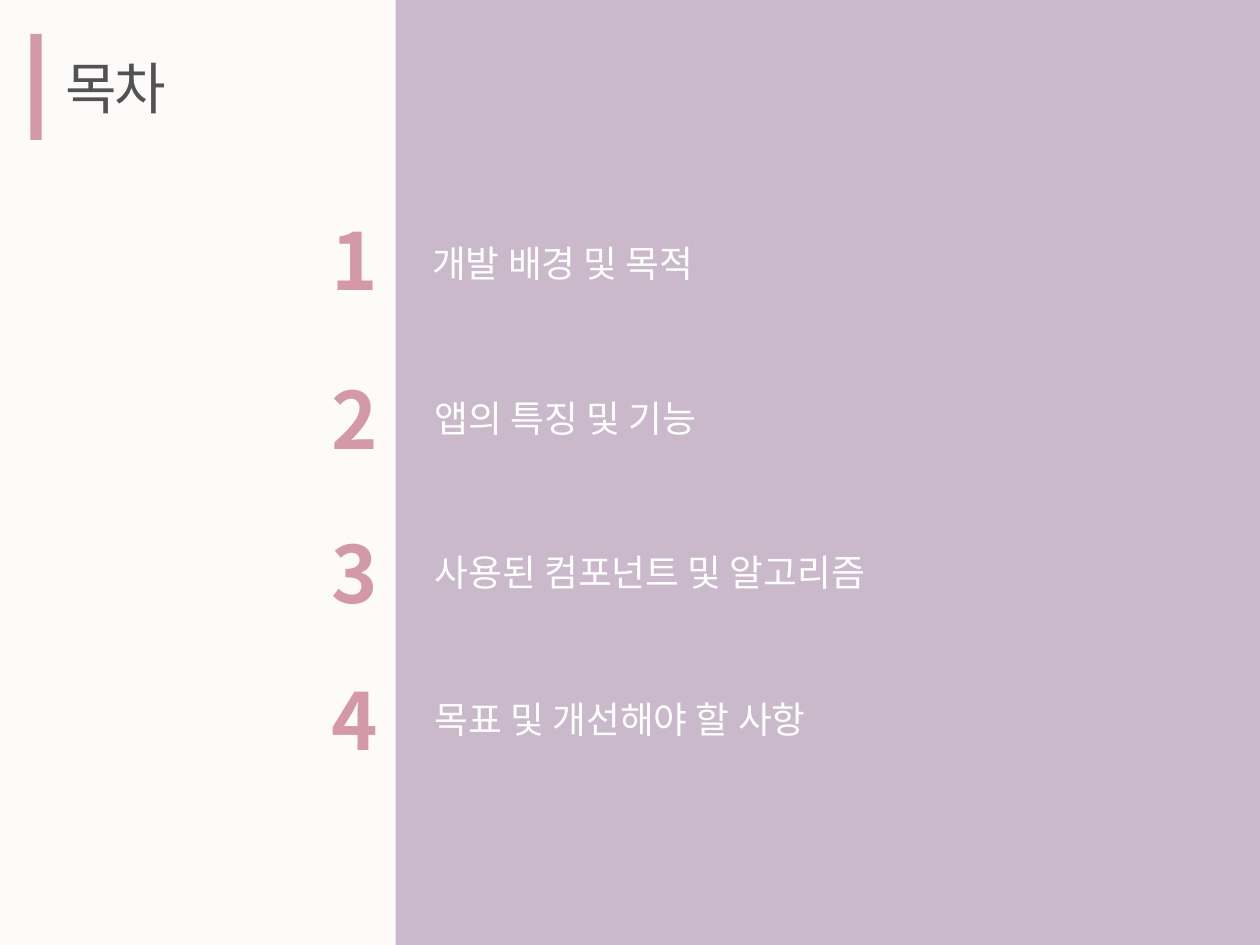
from pptx import Presentation
from pptx.dml.color import RGBColor
from pptx.enum.shapes import MSO_SHAPE
from pptx.enum.text import MSO_ANCHOR, MSO_AUTO_SIZE, PP_ALIGN
from pptx.oxml.ns import qn
from pptx.util import Inches, Pt
from lxml.etree import SubElement

COLORS = {
    "background": "FCFBFA",
    "panel": "CAB9CB",
    "accent": "D399A7",
    "title": "525252",
    "topic": "FFFFFF",
}
FONT = "Noto Sans CJK KR"
COMPARISON_LAYOUT = 4  # one title and four content placeholders

# Number top, topic left, topic top, topic width, topic text
TOPICS = [
    (16.3, 33.3, 18.6, 28.6, "개발 배경 및 목적"),
    (28.9, 33.5, 30.9, 28.6, "앱의 특징 및 기능"),
    (41.1, 33.5, 43.1, 40.4, "사용된 컴포넌트 및 알고리즘"),
    (52.8, 33.5, 54.8, 42.5, "목표 및 개선해야 할 사항"),
]


def write_text(frame, text, *, size, color, bold=False, spacing=0, wrap=True):
    """Put one left-aligned, unbulleted line of text in a frame."""
    frame.word_wrap = wrap
    frame.auto_size = MSO_AUTO_SIZE.NONE
    frame.vertical_anchor = MSO_ANCHOR.MIDDLE
    frame.margin_left = frame.margin_right = Inches(0.1)
    frame.margin_top = frame.margin_bottom = Inches(0.05)
    paragraph = frame.paragraphs[0]
    paragraph.alignment = PP_ALIGN.LEFT
    paragraph.space_before = Pt(0)
    properties = paragraph._p.get_or_add_pPr()
    properties.set("marL", "0")
    properties.set("indent", "0")
    SubElement(properties, qn("a:buNone"))
    run = paragraph.add_run()
    run.text = text
    run.font.size = Pt(size)
    run.font.bold = bold
    run.font.color.rgb = RGBColor.from_string(COLORS[color])
    run.font.name = FONT
    run_properties = run._r.get_or_add_rPr()
    SubElement(run_properties, qn("a:ea")).set("typeface", FONT)
    if spacing:
        run_properties.set("spc", str(round(spacing * 100)))


class SlideBuilder:
    """Holds the slide and its grid of 100 columns by 75 rows."""

    def __init__(self, presentation):
        self.column = presentation.slide_width / 100
        self.row = presentation.slide_height / 75
        layout = presentation.slide_layouts[COMPARISON_LAYOUT]
        self.slide = presentation.slides.add_slide(layout)
        fill = self.slide.background.fill
        fill.solid()
        fill.fore_color.rgb = RGBColor.from_string(COLORS["background"])

    def area(self, left, top, width, height):
        return (round(left * self.column), round(top * self.row),
                round(width * self.column), round(height * self.row))

    def rectangle(self, *cells, color):
        shape = self.slide.shapes.add_shape(MSO_SHAPE.RECTANGLE, *self.area(*cells))
        shape.shadow.inherit = False
        shape.fill.solid()
        shape.fill.fore_color.rgb = RGBColor.from_string(COLORS[color])
        shape.line.fill.background()
        return shape

    def panel(self, *cells, color):
        """Add a rectangle behind everything else on the slide."""
        shape = self.rectangle(*cells, color=color)
        self.slide.shapes._spTree.insert(2, shape._element)

    def placeholder(self, shape, *cells, text, **style):
        shape.left, shape.top, shape.width, shape.height = self.area(*cells)
        write_text(shape.text_frame, text, **style)

    def label(self, *cells, text, **style):
        box = self.slide.shapes.add_textbox(*self.area(*cells))
        write_text(box.text_frame, text, **style)


def main():
    presentation = Presentation()
    presentation.slide_width = Inches(10)
    presentation.slide_height = Inches(7.5)
    builder = SlideBuilder(presentation)

    # Right-hand panel
    builder.panel(31.4, 0, 68.6, 75, color="panel")

    # Title with its accent bar
    builder.rectangle(2.4, 2.7, 0.9, 8.4, color="accent")
    title, *bodies = [
        shape for shape in builder.slide.placeholders
        if shape.placeholder_format.idx < 10
    ]
    builder.placeholder(title, 4.2, 3.7, 10.6, 6.4, text="목차", size=32,
                        color="title", spacing=-1.5, wrap=False)

    # Numbered topics
    for number, (body, topic) in enumerate(zip(bodies, TOPICS), start=1):
        number_top, left, top, width, text = topic
        builder.label(25.3, number_top, 5.7, 8.6, text=str(number), size=45,
                      color="accent", bold=True, wrap=False)
        builder.placeholder(body, left, top, width, 4.5, text=text, size=21,
                            color="topic")

    presentation.save("out.pptx")


if __name__ == "__main__":
    main()
